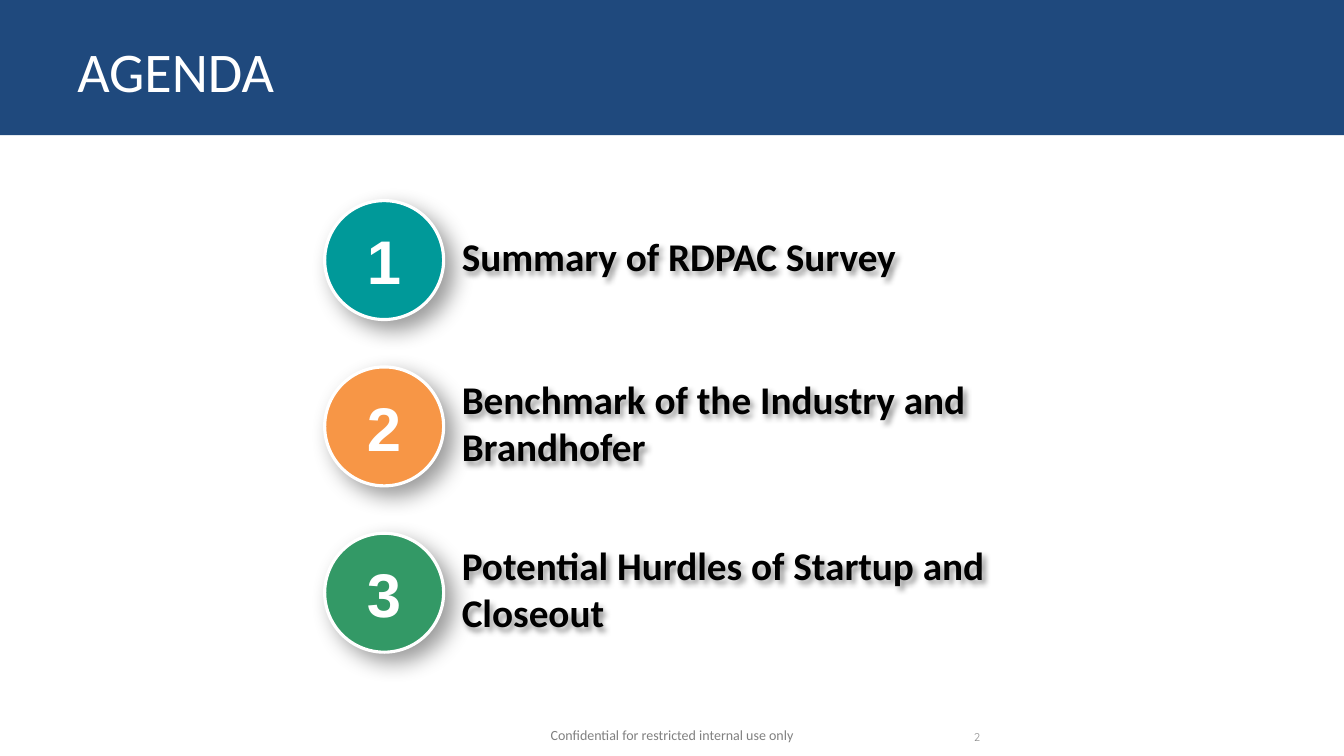
from pptx import Presentation
from pptx.dml.color import RGBColor
from pptx.enum.shapes import MSO_SHAPE
from pptx.enum.text import MSO_ANCHOR, PP_ALIGN
from pptx.oxml import parse_xml
from pptx.oxml.ns import nsdecls
from pptx.util import Inches, Pt

RECTANGLE, OVAL = MSO_SHAPE.RECTANGLE, MSO_SHAPE.OVAL
TOP, MIDDLE, BOTTOM = MSO_ANCHOR.TOP, MSO_ANCHOR.MIDDLE, MSO_ANCHOR.BOTTOM
LEFT, CENTER = PP_ALIGN.LEFT, PP_ALIGN.CENTER

NAVY = RGBColor(0x1F, 0x49, 0x7D)
TEAL = RGBColor(0x00, 0x99, 0x99)
ORANGE = RGBColor(0xF7, 0x96, 0x46)
GREEN = RGBColor(0x33, 0x99, 0x66)
WHITE = RGBColor(0xFF, 0xFF, 0xFF)
BLACK = RGBColor(0x00, 0x00, 0x00)
GREY = RGBColor(0x80, 0x80, 0x80)
LIGHT_GREY = RGBColor(0x8C, 0x8C, 0x8C)

WIDTH, HEIGHT = Inches(13.33), Inches(7.5)
BADGE = Inches(1.18)
LABEL_GAP = Inches(0.18)
LABEL_LIFT = Inches(0.04)
LABEL_HEIGHT = Inches(0.94)

AGENDA = [
    ("Summary of RDPAC Survey", TEAL),
    ("Benchmark of the Industry and Brandhofer", ORANGE),
    ("Potential Hurdles of Startup and Closeout", GREEN),
]


def write(shape, text, size, color, font="Calibri", bold=False,
          align=LEFT, anchor=MIDDLE, inset=None):
    frame = shape.text_frame
    frame.word_wrap = True
    frame.vertical_anchor = anchor
    if inset is not None:
        frame.margin_left = frame.margin_right = inset
        frame.margin_top = frame.margin_bottom = inset
    para = frame.paragraphs[0]
    para.alignment = align
    span = para.add_run()
    span.text = text
    span.font.name = font
    span.font.size = Pt(size)
    span.font.bold = bold
    span.font.color.rgb = color


def cast_shadow(shape, blur, distance):
    shape._element.spPr.append(parse_xml(
        f'<a:effectLst {nsdecls("a")}>'
        f'<a:outerShdw blurRad="{Pt(blur)}" dist="{Pt(distance)}" dir="2700000" '
        'algn="tl" rotWithShape="0"><a:srgbClr val="000000">'
        '<a:alpha val="40000"/></a:srgbClr></a:outerShdw></a:effectLst>'))


def add_header(page, left, top, width, height):
    band = page.shapes.add_shape(RECTANGLE, left, top, width, height)
    band.shadow.inherit = False
    band.fill.solid()
    band.fill.fore_color.rgb = NAVY
    band.line.fill.background()
    page.shapes._spTree.insert(2, band._element)

    title = page.shapes.title
    title.left, title.top = left + int(width * 0.05), top + Inches(0.07)
    title.width, title.height = int(width * 0.9), Inches(1.25)
    write(title, "AGENDA", 40, WHITE)


def add_entry(page, number, text, color, left, top, width):
    badge = page.shapes.add_shape(OVAL, left, top, BADGE, BADGE)
    badge.fill.solid()
    badge.fill.fore_color.rgb = color
    badge.line.color.rgb = WHITE
    badge.line.width = Pt(2.25)
    cast_shadow(badge, 16, 9)
    write(badge, str(number), 44, WHITE, font="Arial", bold=True,
          align=CENTER, inset=0)

    indent = BADGE + LABEL_GAP
    label = page.shapes.add_textbox(
        left + indent, top + (BADGE - LABEL_HEIGHT) // 2 - LABEL_LIFT,
        width - indent, LABEL_HEIGHT)
    cast_shadow(label, 4, 3)
    write(label, text, 28, BLACK, bold=True, inset=0)


def add_agenda(page, left, top, width, height):
    pitch = (height - BADGE) // (len(AGENDA) - 1)
    for row, (text, color) in enumerate(AGENDA):
        add_entry(page, row + 1, text, color, left, top + row * pitch, width)


def add_footer(page, left, top, width, height):
    notice = page.shapes.add_textbox(
        left, top + Inches(0.13), Inches(3.83), Inches(0.3))
    write(notice, "Confidential for restricted internal use only", 10, GREY,
          align=CENTER, anchor=TOP)
    number_width = Inches(3.11)
    number = page.shapes.add_textbox(
        left + width - number_width, top, number_width, height)
    write(number, "2", 8, LIGHT_GREY, font="Quicksand", anchor=BOTTOM)


def main():
    deck = Presentation()
    deck.slide_width, deck.slide_height = WIDTH, HEIGHT
    page = deck.slides.add_slide(deck.slide_layouts.get_by_name("Title Only"))
    add_header(page, 0, 0, WIDTH, Inches(1.34))
    add_agenda(page, Inches(3.22), Inches(1.99), Inches(7.61), Inches(4.48))
    add_footer(page, Inches(4.75), Inches(7.03), Inches(7.92), Inches(0.4))
    deck.save("out.pptx")


if __name__ == "__main__":
    main()
